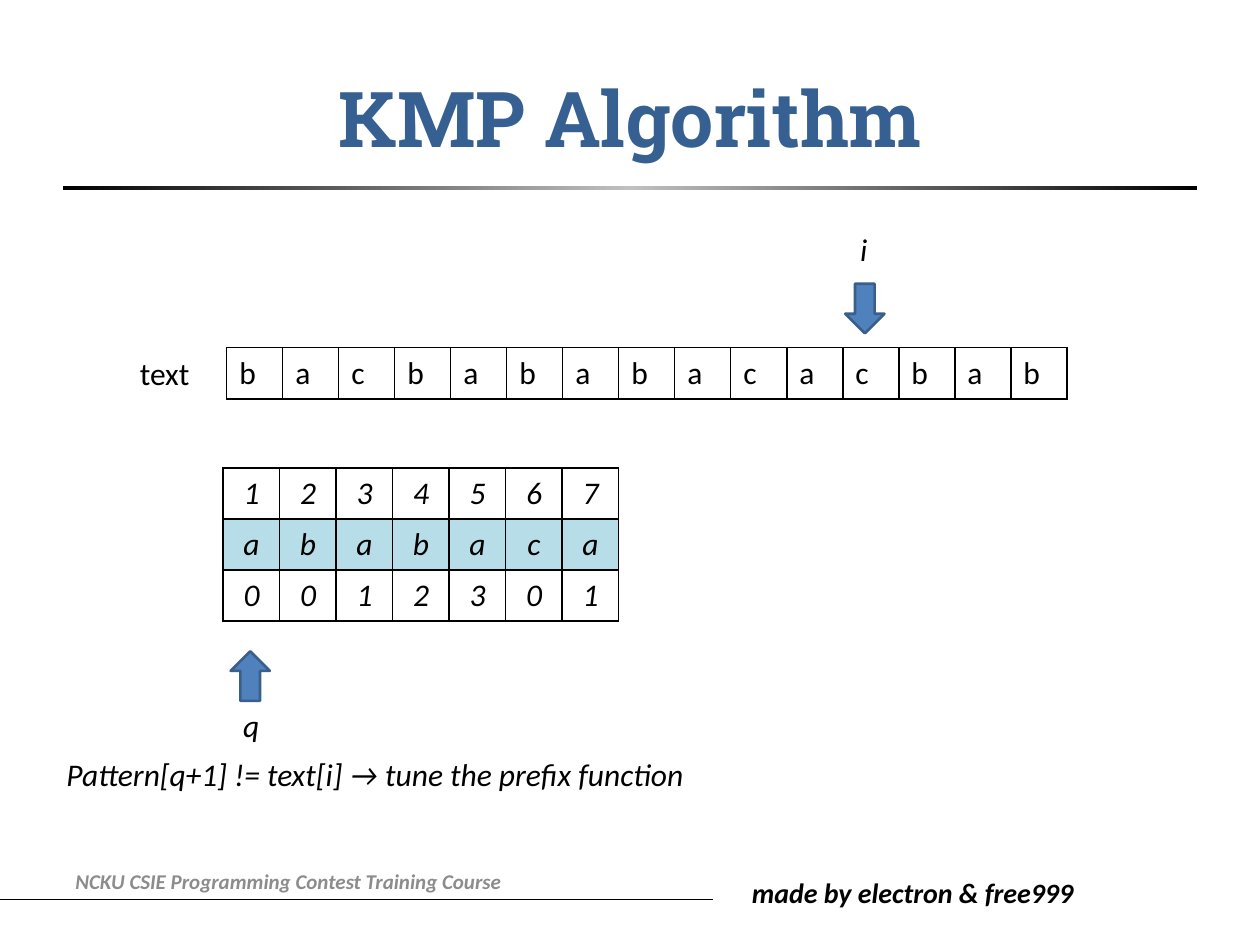
from copy import deepcopy

from lxml import etree
from pptx import Presentation
from pptx.dml.color import RGBColor
from pptx.enum import shapes, text
from pptx.oxml import ns
from pptx.util import Cm, Pt

# Content
TITLE = "KMP Algorithm"
TEXT_ROWS = ["bacbababacacbab"]
PATTERN_ROWS = ["1234567", "ababaca", "0012301"]
MARKED_ROW = 1

BLACK = RGBColor(0, 0, 0)
SILVER = RGBColor(0xC0, 0xC0, 0xC0)
GRAY = RGBColor(0x8C, 0x8C, 0x8C)
NAVY = RGBColor(0x37, 0x60, 0x92)
BLUE = RGBColor(0x4F, 0x81, 0xBD)
DARK_BLUE = RGBColor(0x3A, 0x5F, 0x8C)
AQUA = RGBColor(0xB7, 0xDE, 0xE8)

# wording, (left, top, width, height) in cm, size, colour, bold, italic, anchor
TOP, MIDDLE = text.MSO_ANCHOR.TOP, text.MSO_ANCHOR.MIDDLE
LABELS = [
    ("made by electron & free999", (14.91, 17.53, 7.52, 0.94), 16, BLACK, True, True, TOP),
    ("NCKU CSIE Programming Contest Training Course",
     (1.27, 17.25, 12.83, 1.02), 12, GRAY, True, True, MIDDLE),
    ("text", (2.57, 7.01, 2.01, 1.02), 18, BLACK, False, False, TOP),
    ("i", (17.09, 4.52, 0.79, 1.02), 18, BLACK, False, True, TOP),
    ("q", (4.65, 14.1, 0.79, 1.02), 18, BLACK, False, True, TOP),
    ("Pattern[q+1] != text[i] → tune the prefix function",
     (1.09, 15.09, 14.4, 1.02), 18, BLACK, False, True, TOP),
]
ARROWS = [
    (shapes.MSO_SHAPE.DOWN_ARROW, 17.04, 5.72),
    (shapes.MSO_SHAPE.UP_ARROW, 4.65, 13.13),
]
ROW_HEIGHT = 1.03


def style(para, size, color, bold=False, italic=False, name="Calibri"):
    for span in para.runs:
        font = span.font
        font.name, font.size, font.bold, font.italic = name, Pt(size), bold, italic
        font.color.rgb = color


def add_label(page, words, place, size, color, bold, italic, anchor):
    box = page.shapes.add_textbox(*map(Cm, place))
    frame = box.text_frame
    frame.word_wrap = True
    frame.vertical_anchor = anchor
    frame.text = words
    style(frame.paragraphs[0], size, color, bold, italic)


def add_borders(cell):
    props = cell._tc.get_or_add_tcPr()
    for index, side in enumerate(("lnL", "lnR", "lnT", "lnB")):
        line = etree.Element(ns.qn("a:" + side), w=str(Pt(1)))
        fill = etree.SubElement(line, ns.qn("a:solidFill"))
        etree.SubElement(fill, ns.qn("a:srgbClr"), val=str(BLACK))
        props.insert(index, line)


def add_grid(page, rows, left, top, column_width, align, italic=False, marked=None):
    count = len(rows[0])
    table = page.shapes.add_table(
        len(rows), count, Cm(left), Cm(top),
        Cm(column_width * count), Cm(ROW_HEIGHT * len(rows))).table
    table.first_row = table.horz_banding = False
    for column in table.columns:
        column.width = Cm(column_width)
    for y, letters in enumerate(rows):
        table.rows[y].height = Cm(ROW_HEIGHT)
        for x, letter in enumerate(letters):
            cell = table.cell(y, x)
            cell.text = letter
            para = cell.text_frame.paragraphs[0]
            para.alignment = align
            style(para, 18, BLACK, italic=italic)
            if y == marked:
                cell.fill.solid()
                cell.fill.fore_color.rgb = AQUA
            else:
                cell.fill.background()
            add_borders(cell)


def add_title_bar(page):
    bar = page.shapes.add_shape(
        shapes.MSO_SHAPE.RECTANGLE, Cm(1.27), Cm(3.76), Cm(22.86), Cm(0.08))
    bar.shadow.inherit = False
    bar.line.fill.background()
    bar.fill.gradient()
    bar.fill.gradient_angle = 0
    stop_list = bar._element.spPr.find(".//" + ns.qn("a:gsLst"))
    stop_list.append(deepcopy(stop_list[0]))
    for stop, position, color in zip(
            bar.fill.gradient_stops, (0, 0.5, 1), (BLACK, SILVER, BLACK)):
        stop.position = position
        stop.color.rgb = color


def add_footer_line(page):
    line = page.shapes.add_connector(
        shapes.MSO_CONNECTOR.STRAIGHT, Cm(-1.5), Cm(18.14), Cm(14.38), Cm(18.14))
    line.line.color.rgb = BLACK
    line.line.width = Pt(0.5)
    etree.SubElement(line._element.spPr, ns.qn("a:effectLst"))


def add_arrow(page, kind, left, top):
    arrow = page.shapes.add_shape(kind, Cm(left), Cm(top), Cm(0.79), Cm(1))
    arrow.shadow.inherit = False
    arrow.fill.solid()
    arrow.fill.fore_color.rgb = BLUE
    arrow.line.color.rgb = DARK_BLUE
    arrow.line.width = Pt(1.5)


def main():
    deck = Presentation()
    deck.slide_width, deck.slide_height = Cm(25.4), Cm(19.05)
    page = deck.slides.add_slide(deck.slide_layouts[5])

    # Title and rules
    title = page.shapes.title
    title.left, title.top, title.width, title.height = map(Cm, (1.27, 0.76, 22.86, 3.18))
    title.text_frame.text = TITLE
    title.text_frame.vertical_anchor = MIDDLE
    heading = title.text_frame.paragraphs[0]
    heading.alignment = text.PP_ALIGN.CENTER
    style(heading, 44, NAVY, bold=True, name="Roboto Slab")
    add_title_bar(page)
    add_footer_line(page)

    # Pattern with its prefix function, and the searched text
    add_grid(page, PATTERN_ROWS, 4.5, 9.43, 1.14, text.PP_ALIGN.CENTER, True, MARKED_ROW)
    add_grid(page, TEXT_ROWS, 4.57, 7.01, 1.13, text.PP_ALIGN.LEFT)

    # Index arrows and labels
    for arrow in ARROWS:
        add_arrow(page, *arrow)
    for label in LABELS:
        add_label(page, *label)

    deck.save("out.pptx")


if __name__ == "__main__":
    main()
